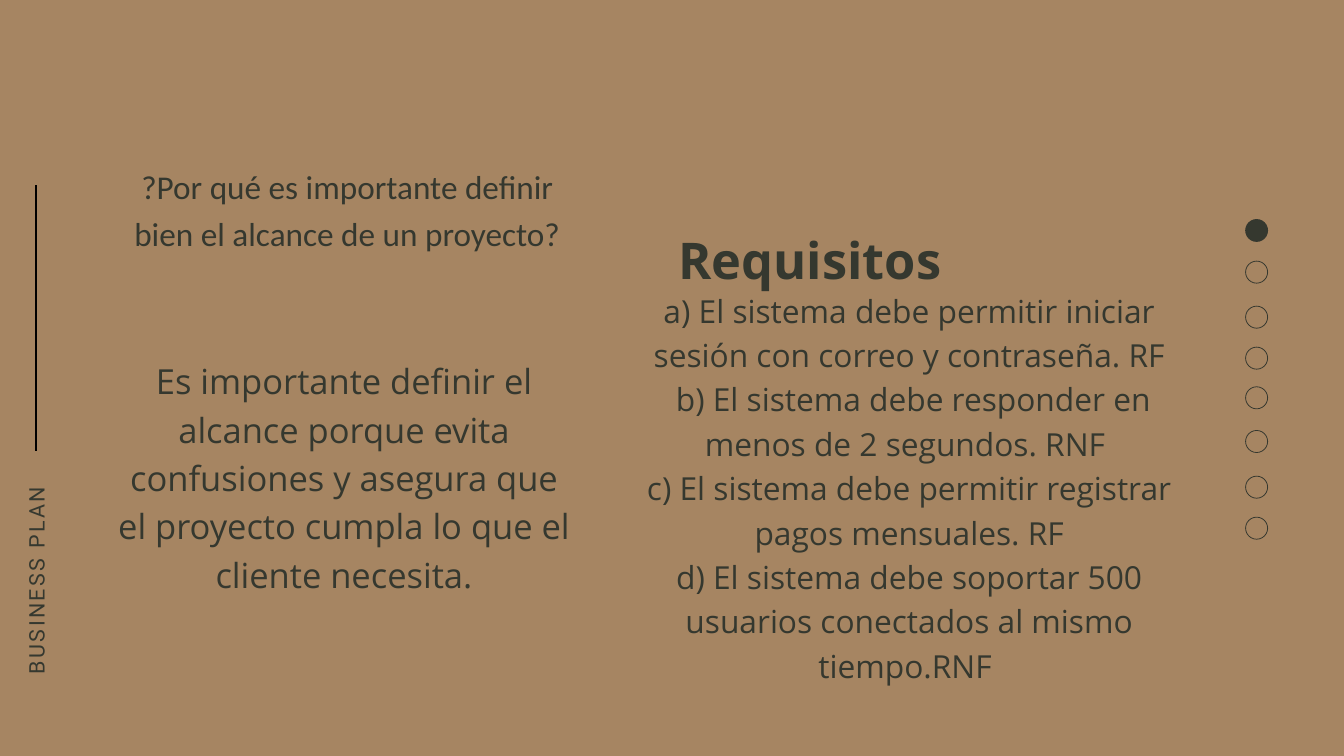
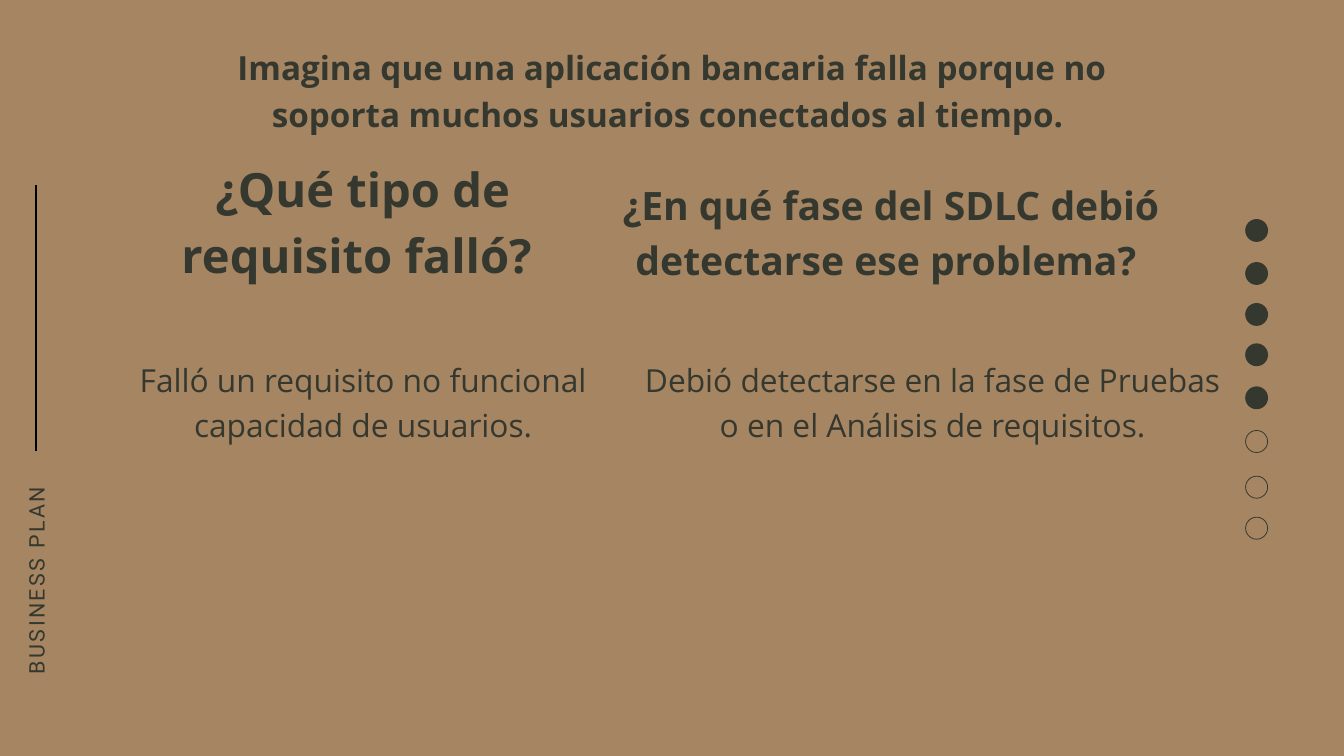
from lxml import etree
from pptx import Presentation
from pptx import util as u
from pptx.dml.color import RGBColor
from pptx.enum import shapes, text
from pptx.oxml.ns import qn

PX = 9144
COLORS = {"ground": "A68562", "ink": "35382F", "rule": "000000"}
BODY_FONT = "Open Sans"
DOT_LEFT, DOT_SIZE = 1853, 34
RING_THICKNESS = 0.035


def px(n):
    """Turn px into EMU."""
    return u.Emu(n * PX)


def color(name):
    """Look up a colour of the deck."""
    return RGBColor.from_string(COLORS[name])


def add_text(s, box, lines, size, leading, font=BODY_FONT, bold=False,
             align=text.PP_ALIGN.CENTER):
    """Add a text box with one paragraph per line and return it."""
    sp = s.shapes.add_textbox(*map(px, box))
    tf = sp.text_frame
    tf.word_wrap = True
    tf.auto_size = text.MSO_AUTO_SIZE.SHAPE_TO_FIT_TEXT
    tf.margin_left = tf.margin_top = tf.margin_right = tf.margin_bottom = 0
    tf.text = "\n".join(lines)
    for p in tf.paragraphs:
        p.alignment = align
        p.line_spacing = u.Pt(leading)
        for r in p.runs:
            r.font.name = font
            r.font.size = u.Pt(size)
            r.font.bold = bold
            r.font.color.rgb = color("ink")
    return sp


def add_dot(s, top, filled):
    """Add one progress mark, a disc or a thin ring."""
    kind = shapes.MSO_SHAPE.OVAL if filled else shapes.MSO_SHAPE.DONUT
    sp = s.shapes.add_shape(kind, *map(px, (DOT_LEFT, top, DOT_SIZE, DOT_SIZE)))
    if not filled:
        sp.adjustments[0] = RING_THICKNESS
    sp.shadow.inherit = False
    sp.fill.solid()
    sp.fill.fore_color.rgb = color("ink")
    sp.line.fill.background()


def add_rule(s):
    """Add the upright line at the left edge."""
    line = s.shapes.add_connector(shapes.MSO_CONNECTOR.STRAIGHT,
                                  *map(px, (54, 671, 54, 275)))
    line.line.color.rgb = color("rule")
    line.line.width = u.Pt(2.25)
    etree.SubElement(line._element.spPr, qn("a:effectLst"))


def add_side_label(s):
    """Add the letterspaced label that reads upwards."""
    sp = add_text(s, (-260, 668, 623, 47), ["BUSINESS PLAN"], 23, 32.2,
                  font="Roboto", align=text.PP_ALIGN.LEFT)
    sp.rotation = 270
    r = sp.text_frame.paragraphs[0].runs[0]
    r._r.get_or_add_rPr().set("spc", "250")


def add_base_slide(prs, dot_tops, done):
    """Add a slide with ground, progress marks, rule and side label."""
    s = prs.slides.add_slide(prs.slide_layouts[6])
    s.background.fill.solid()
    s.background.fill.fore_color.rgb = color("ground")
    for i, top in enumerate(dot_tops):
        add_dot(s, top, i < done)
    add_rule(s)
    add_side_label(s)
    return s


def add_scope_slide(prs):
    """Add the slide on project scope and requirements."""
    s = add_base_slide(prs, (326, 388, 455, 516, 575, 640, 708, 769), 1)
    add_text(s, (180, 238, 674, 204),
             ["?Por qué es importante definir bien el alcance de un proyecto?"],
             35.6, 49.9, font="Calibri")
    add_text(s, (171, 526, 682, 356),
             ["Es importante definir el alcance porque evita confusiones y "
              "asegura que el proyecto cumpla lo que el cliente necesita."],
             37, 51.8)
    add_text(s, (1000, 326, 411, 101), ["Requisitos"], 54.2, 75.9, bold=True)
    add_text(s, (917, 424, 872, 588), [
        "a) El sistema debe permitir iniciar sesión con correo y contraseña. RF",
        " b) El sistema debe responder en menos de 2 segundos. RNF ",
        "c) El sistema debe permitir registrar pagos mensuales. RF",
        "d) El sistema debe soportar 500 usuarios conectados al mismo tiempo.RNF ",
    ], 34, 47.6)


def add_failure_slide(prs):
    """Add the slide on the failing banking application."""
    s = add_base_slide(prs, (326, 390, 451, 511, 575, 640, 708, 769), 5)
    add_text(s, (315, 61, 1371, 135),
             ["Imagina que una aplicación bancaria falla porque no soporta "
              "muchos usuarios conectados al tiempo. "], 35.6, 49.9, bold=True)
    add_text(s, (175, 224, 730, 193), ["¿Qué tipo de requisito falló? "],
             50.5, 70.8, bold=True)
    add_text(s, (905, 259, 827, 159),
             [" ¿En qué fase del SDLC debió detectarse ese problema?"],
             41.9, 58.6, bold=True)
    add_text(s, (158, 528, 765, 129),
             ["Falló un requisito no funcional capacidad de usuarios."],
             34, 47.6)
    add_text(s, (953, 528, 870, 260),
             ["Debió detectarse en la fase de Pruebas o en el Análisis de "
              "requisitos."], 34, 47.6)


def main():
    """Build and save the deck."""
    prs = Presentation()
    prs.slide_width, prs.slide_height = px(2000), px(1125)
    add_scope_slide(prs)
    add_failure_slide(prs)
    prs.save("out.pptx")


if __name__ == "__main__":
    main()
